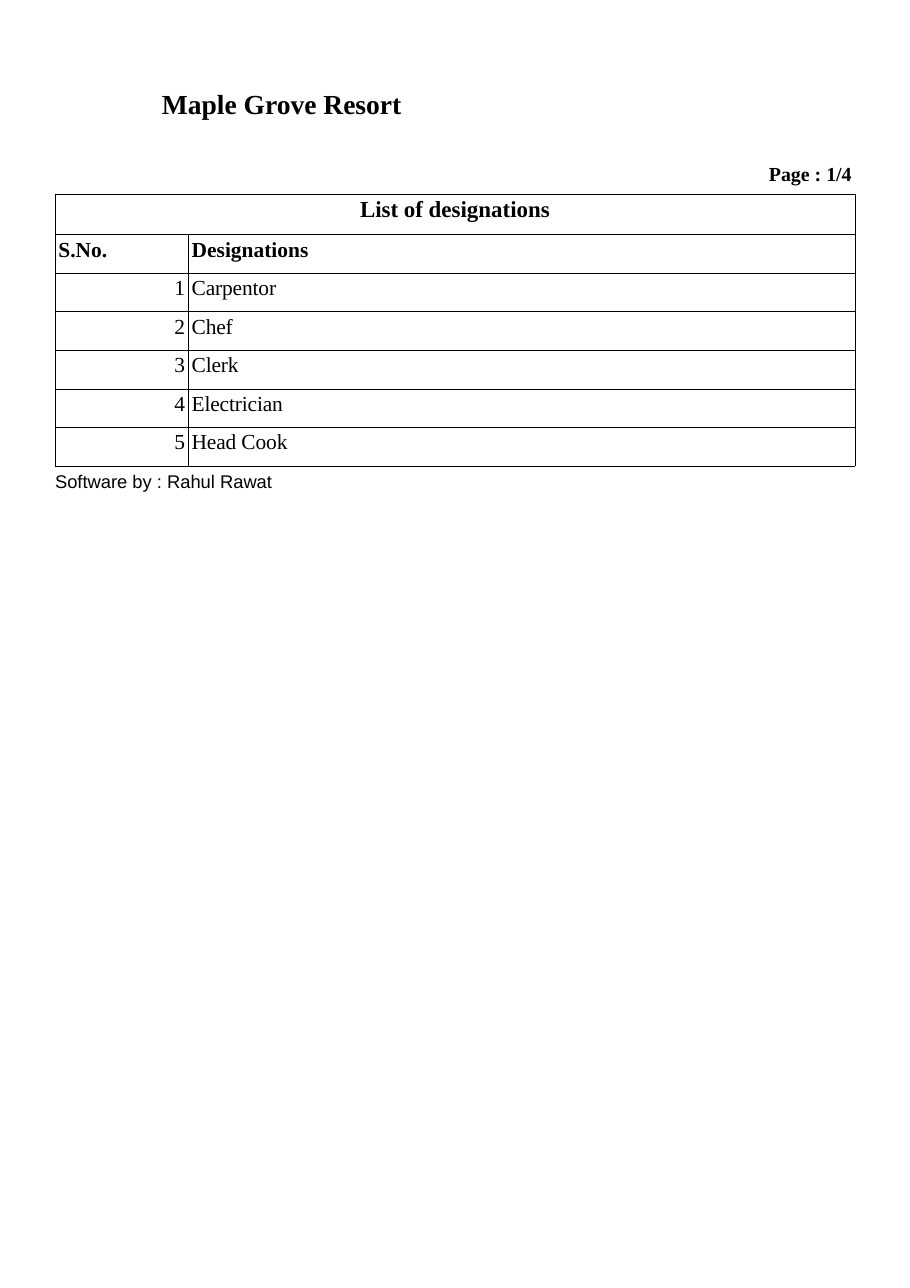
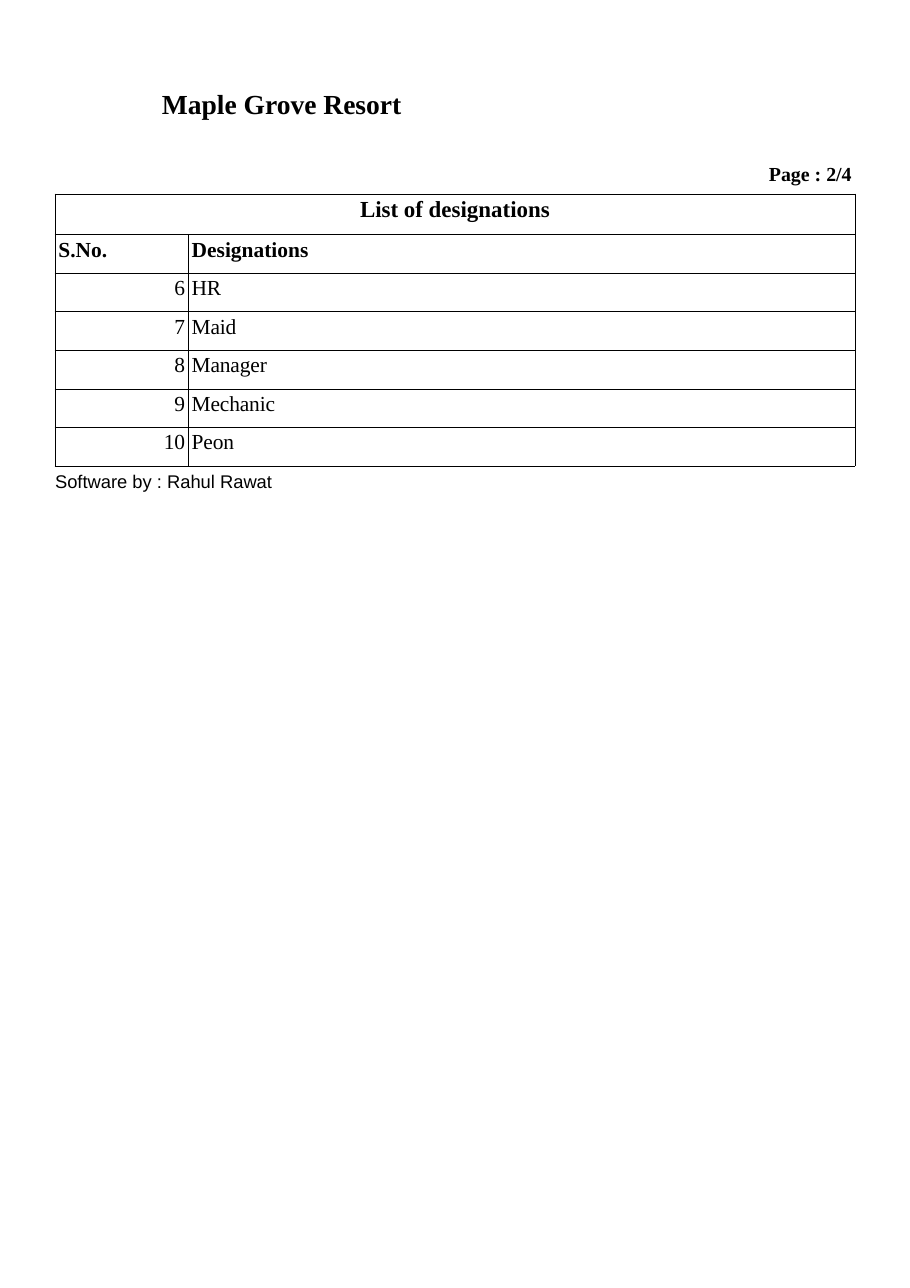
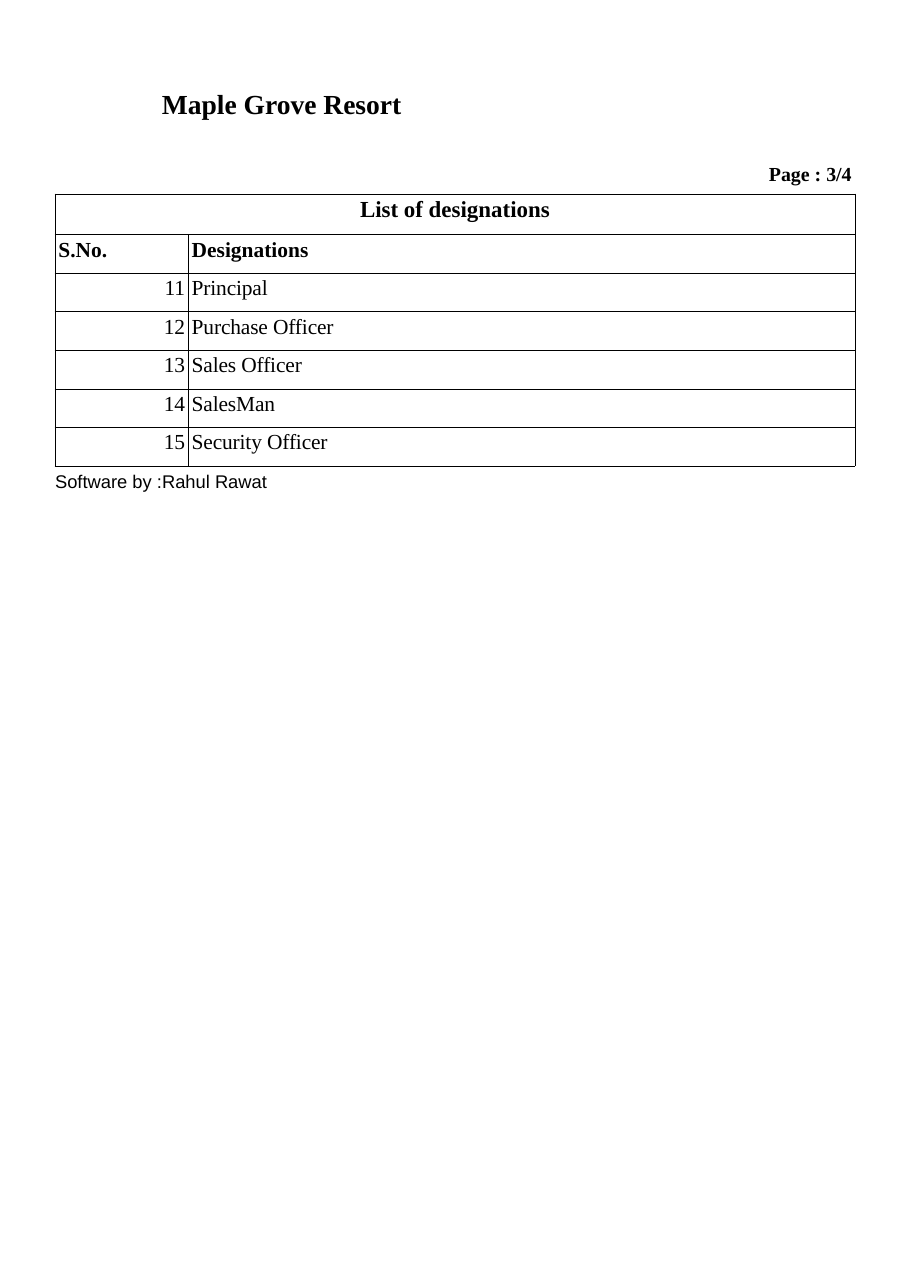
from pptx import Presentation
from pptx.dml.color import RGBColor
from pptx.enum.text import MSO_ANCHOR, MSO_AUTO_SIZE, PP_ALIGN
from pptx.oxml import parse_xml
from pptx.oxml.ns import nsdecls
from pptx.util import Inches, Pt

BLACK = "000000"
SERIF, SANS = "Times New Roman", "Arial"
COLS = [1.21, 6.05]
ROWS = [0.37] + [0.35] * 6
PAGES = [
    (["Carpentor", "Chef", "Clerk", "Electrician", "Head Cook"],
     "Software by : Rahul Rawat"),
    (["HR", "Maid", "Manager", "Mechanic", "Peon"],
     "Software by : Rahul Rawat"),
    (["Principal", "Purchase Officer", "Sales Officer", "SalesMan",
      "Security Officer"],
     "Software by :Rahul Rawat"),
]


def write(frame, text, size=14, font=SERIF, bold=False, align=PP_ALIGN.LEFT,
          before=1, track=0, side=0.01, top=0.01):
    """Fill a text frame; side and top are its insets, track the letter gap."""
    frame.margin_left = frame.margin_right = Inches(side)
    frame.margin_top, frame.margin_bottom = Inches(top), 0
    frame.vertical_anchor = MSO_ANCHOR.TOP
    para = frame.paragraphs[0]
    para.alignment, para.space_before = align, Pt(before)
    run = para.add_run()
    run.text = text
    run.font.name, run.font.size, run.font.bold = font, Pt(size), bold
    run.font.color.rgb = RGBColor.from_string(BLACK)
    if track:
        run.font._element.set("spc", str(round(track * 100)))


def rule(cell):
    """Draw thin lines on all four sides of a cell and leave it unfilled."""
    for side in "LRTB":
        cell._tc.get_or_add_tcPr().append(parse_xml(
            f'<a:ln{side} {nsdecls("a")} w="{Pt(0.5)}"><a:solidFill>'
            f'<a:srgbClr val="{BLACK}"/></a:solidFill></a:ln{side}>'))
    cell.fill.background()


deck = Presentation()
deck.slide_width, deck.slide_height = Inches(8.26), Inches(11.69)

for page, (jobs, credit) in enumerate(PAGES):
    slide = deck.slides.add_slide(deck.slide_layouts[5])

    title = slide.shapes.title
    title.left, title.top = Inches(1.46), Inches(0.78)
    title.width, title.height = Inches(2.39), Inches(0.33)
    title.text_frame.auto_size = MSO_AUTO_SIZE.SHAPE_TO_FIT_TEXT
    write(title.text_frame, "Maple Grove Resort", size=18, bold=True)

    for text, box, style in [
        (f"Page : {page + 1}/4", (6.97, 1.46, 0.78, 0.24),
         dict(size=13, bold=True)),
        (credit, (0.49, 4.26, 2.15, 0.22), dict(size=12, font=SANS)),
    ]:
        frame = slide.shapes.add_textbox(*map(Inches, box)).text_frame
        frame.word_wrap = True
        frame.auto_size = MSO_AUTO_SIZE.SHAPE_TO_FIT_TEXT
        write(frame, text, **style)

    table = slide.shapes.add_table(
        len(ROWS), len(COLS), Inches(0.5), Inches(1.76),
        Inches(sum(COLS)), Inches(sum(ROWS))).table
    table.first_row = table.horz_banding = False
    for col, width in zip(table.columns, COLS):
        col.width = Inches(width)
    for row, height in zip(table.rows, ROWS):
        row.height = Inches(height)
    for cell in table.iter_cells():
        rule(cell)

    inset = dict(before=2.4, side=0.03, top=0.03)
    head = table.cell(0, 0)
    head.merge(table.cell(0, 1))
    # A cell holds its own margins, so they are set beside the text.
    lines = [(0, 0, "List of designations",
              dict(size=15, bold=True, align=PP_ALIGN.CENTER)),
             (1, 0, "S.No.", dict(bold=True)),
             (1, 1, "Designations", dict(bold=True))]
    for i, job in enumerate(jobs):
        number = page * len(jobs) + i + 1
        lines += [(i + 2, 0, str(number),
                   dict(align=PP_ALIGN.RIGHT, track=-0.2)),
                  (i + 2, 1, job, dict(track=-0.1))]
    for r, c, text, style in lines:
        cell = table.cell(r, c)
        write(cell.text_frame, text, **inset, **style)
        cell.margin_left = cell.margin_right = Inches(inset["side"])
        cell.margin_top, cell.margin_bottom = Inches(inset["top"]), 0
        cell.vertical_anchor = MSO_ANCHOR.TOP

deck.save("out.pptx")
